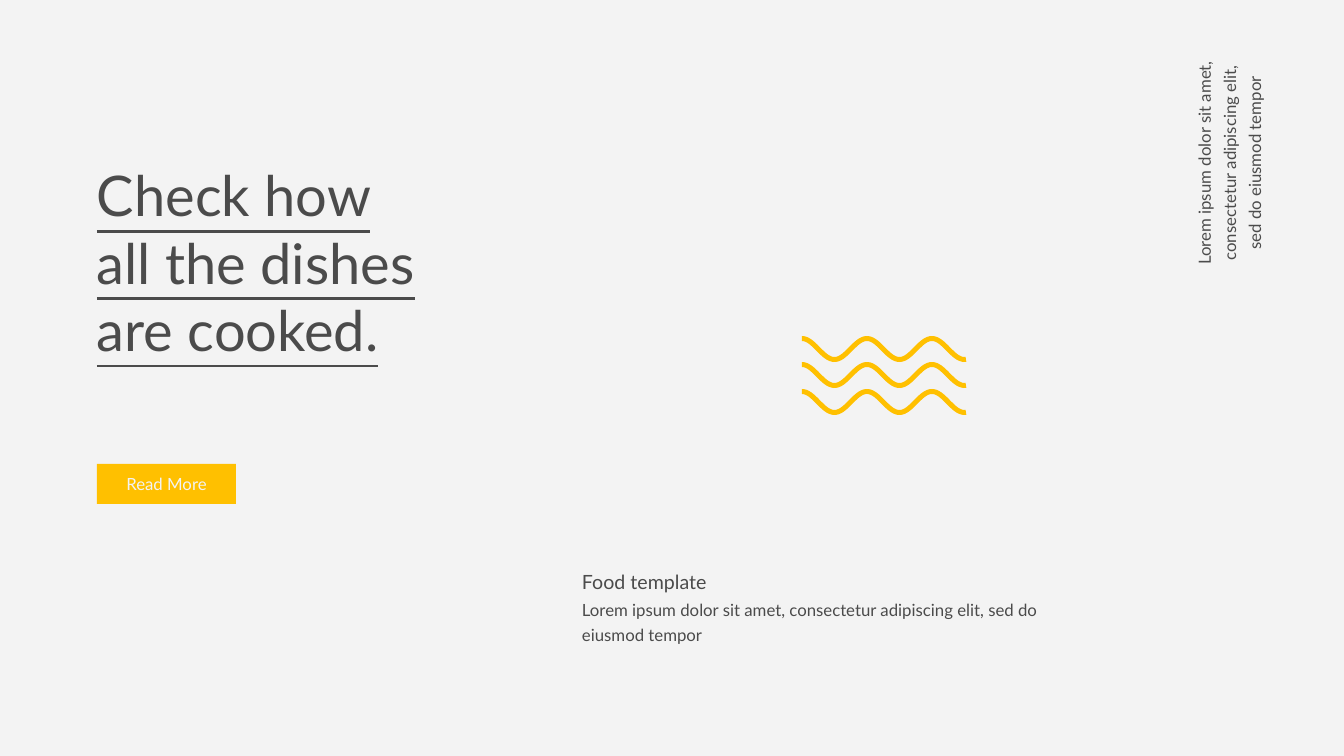
from dataclasses import dataclass
from math import cos, hypot, pi, sin

from pptx import Presentation
from pptx.dml.color import RGBColor
from pptx.enum.shapes import MSO_SHAPE
from pptx.enum.text import MSO_ANCHOR, MSO_AUTO_SIZE, PP_ALIGN
from pptx.util import Pt

LEFT, CENTER = PP_ALIGN.LEFT, PP_ALIGN.CENTER
TOP, MIDDLE = MSO_ANCHOR.TOP, MSO_ANCHOR.MIDDLE
FIT_SHAPE = MSO_AUTO_SIZE.SHAPE_TO_FIT_TEXT
RECTANGLE = MSO_SHAPE.RECTANGLE
SLIDE_WIDTH, SLIDE_HEIGHT = 1344, 756
SCALE = 12192000 / SLIDE_WIDTH


@dataclass(frozen=True)
class Theme:
    font: str = "Lato"
    paper: RGBColor = RGBColor(0xF3, 0xF3, 0xF3)
    ink: RGBColor = RGBColor(0x4B, 0x4B, 0x4B)
    accent: RGBColor = RGBColor(0xFF, 0xC0, 0x00)
    title: int = 40
    subtitle: int = 14
    body: int = 12


theme = Theme()


def px(length):
    return round(length * SCALE)


def write(box, text, size, color=theme.ink, align=LEFT, anchor=TOP, spacing=None):
    frame = box.text_frame
    frame.text = text
    frame.word_wrap = True
    frame.vertical_anchor = anchor
    para = frame.paragraphs[0]
    para.alignment = align
    if spacing:
        para.line_spacing = spacing
    para.font.name = theme.font
    para.font.size = Pt(size)
    para.font.color.rgb = color
    return frame


deck = Presentation()
deck.slide_width, deck.slide_height = px(SLIDE_WIDTH), px(SLIDE_HEIGHT)
page = deck.slides.add_slide(deck.slide_layouts[5])
page.background.fill.solid()
page.background.fill.fore_color.rgb = theme.paper

title = page.shapes.title
title.left, title.top, title.width, title.height = map(px, (97, 161, 319, 271))
title_frame = write(title, "Check how all the dishes are cooked.", theme.title)
title_frame.paragraphs[0].font.underline = True

button = page.shapes.add_shape(RECTANGLE, *map(px, (97, 464, 139, 40)))
button.shadow.inherit = False
button.fill.solid()
button.fill.fore_color.rgb = theme.accent
button.line.fill.background()
write(button, "Read More", theme.body, theme.paper, CENTER, MIDDLE)

lorem = "Lorem ipsum dolor sit amet, consectetur adipiscing elit, sed do eiusmod tempor"
side_note = page.shapes.add_textbox(*map(px, (1121, 125, 212, 76)))
side_note.rotation = 270
caption = page.shapes.add_textbox(*map(px, (582, 595, 475, 50)))
heading = page.shapes.add_textbox(*map(px, (582, 570, 129, 24)))
side_frame = write(side_note, lorem, theme.body, align=CENTER, spacing=1.25)
caption_frame = write(caption, lorem, theme.body, spacing=1.25)
heading_frame = write(heading, "Food template", theme.subtitle)
heading_frame.word_wrap = False
for frame in (title_frame, side_frame, caption_frame, heading_frame):
    frame.margin_left = frame.margin_top = frame.margin_right = frame.margin_bottom = 0
    frame.auto_size = FIT_SHAPE

WAVE_LEFT, WAVE_WIDTH, WAVE_PERIOD = 802, 164, 65
WAVE_HEIGHT, WAVE_THICKNESS = 21, 5
waves = page.shapes.add_group_shape()
for middle in (349, 375, 402):
    upper, lower = [], []
    for step in range(0, WAVE_WIDTH + 1, 2):
        angle = 2 * pi * step / WAVE_PERIOD
        x, y = WAVE_LEFT + step, middle - WAVE_HEIGHT / 2 * cos(angle)
        slope = pi * WAVE_HEIGHT / WAVE_PERIOD * sin(angle)
        reach = WAVE_THICKNESS / 2 / hypot(1, slope)
        upper.append((px(x + slope * reach), px(y - reach)))
        lower.append((px(x - slope * reach), px(y + reach)))
    outline = upper + lower[::-1]
    builder = waves.shapes.build_freeform(*outline[0], scale=1.0)
    builder.add_line_segments(outline[1:], close=True)
    wave = builder.convert_to_shape()
    wave.shadow.inherit = False
    wave.fill.solid()
    wave.fill.fore_color.rgb = theme.accent
    wave.line.fill.background()

deck.save("out.pptx")
